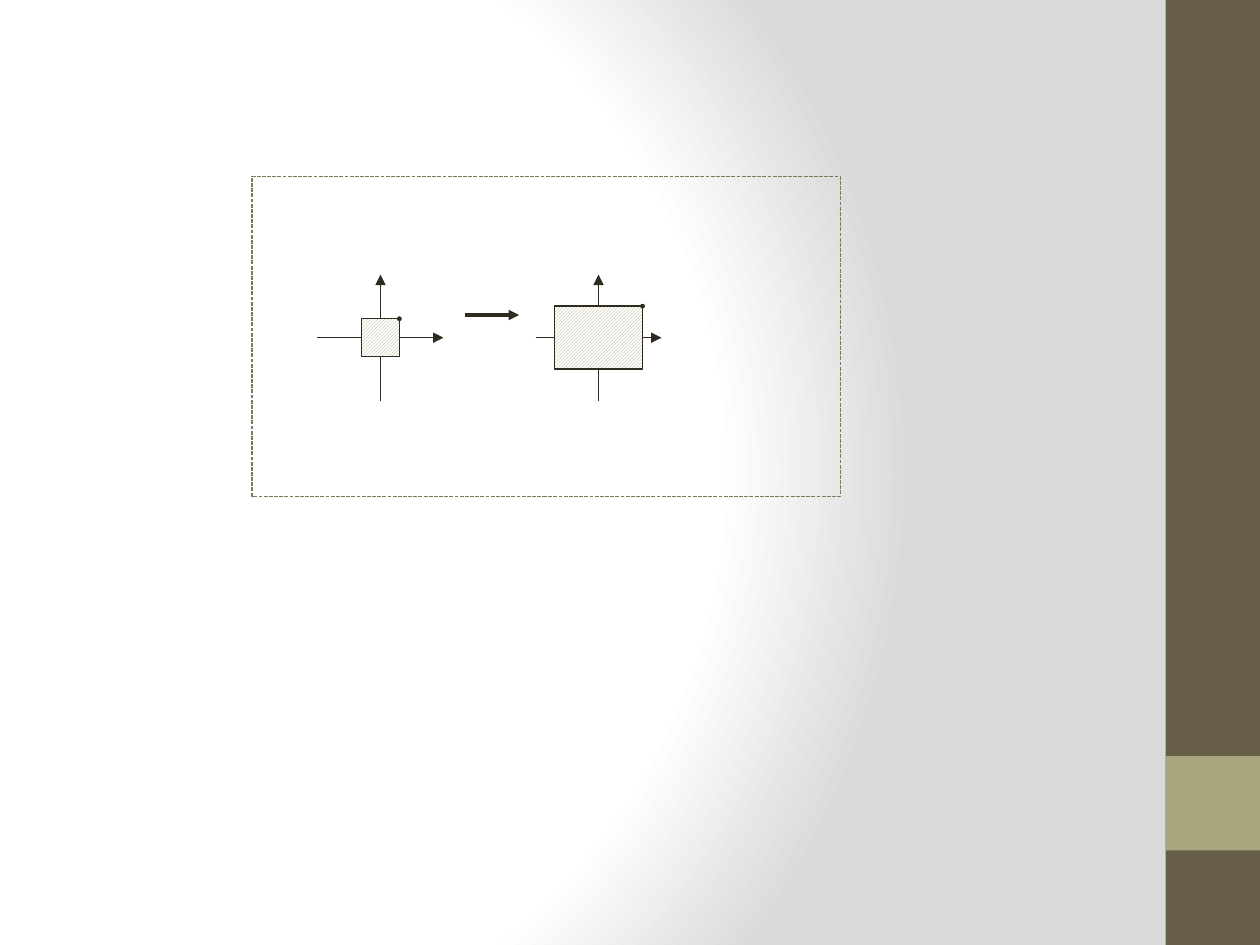
from lxml.etree import SubElement
from pptx import Presentation
from pptx.dml.color import RGBColor
from pptx.enum.dml import MSO_LINE_DASH_STYLE as Dash, MSO_PATTERN_TYPE as Pattern
from pptx.enum.shapes import MSO_CONNECTOR as Connector, MSO_SHAPE as Shape
from pptx.oxml import parse_xml
from pptx.oxml.ns import nsdecls, qn
from pptx.util import Inches, Pt

COLORS = {
    "white": "FFFFFF",
    "grey": "DADADA",
    "band": "675E47",
    "accent": "A9A57C",
    "frame": "7D7A5C",
    "ink": "2F2B20",
}


def color(name):
    return RGBColor.from_string(COLORS[name])


def add_background(page):
    """Circular gradient centred left of the middle of the page."""
    stops = "".join(
        f'<a:gs pos="{percent * 1000}"><a:srgbClr val="{COLORS[name]}"/></a:gs>'
        for percent, name in ((0, "white"), (75, "white"), (100, "grey"))
    )
    page._element.cSld.insert(0, parse_xml(
        f'<p:bg {nsdecls("p", "a")}><p:bgPr><a:gradFill rotWithShape="1">'
        f'<a:gsLst>{stops}</a:gsLst><a:path path="circle">'
        '<a:fillToRect l="20000" t="50000" r="100000" b="50000"/></a:path>'
        '</a:gradFill><a:effectLst/></p:bgPr></p:bg>'
    ))


def add_box(page, left, top, width, height, fill=None, line=None, weight=0.75, kind=Shape.RECTANGLE):
    box = page.shapes.add_shape(kind, Inches(left), Inches(top), Inches(width), Inches(height))
    box.shadow.inherit = False
    if fill:
        box.fill.solid()
        box.fill.fore_color.rgb = color(fill)
    else:
        box.fill.background()
    if line:
        box.line.color.rgb = color(line)
        box.line.width = Pt(weight)
    else:
        box.line.fill.background()
    return box


def add_arrow(page, x1, y1, x2, y2, weight=0.5):
    arrow = page.shapes.add_connector(
        Connector.STRAIGHT, Inches(x1), Inches(y1), Inches(x2), Inches(y2))
    arrow.line.color.rgb = color("ink")
    arrow.line.width = Pt(weight)
    SubElement(arrow.line._get_or_add_ln(), qn("a:tailEnd"), type="triangle")
    SubElement(arrow._element.spPr, qn("a:effectLst"))


def add_side_band(page, left, top, width, height):
    add_box(page, left, top, width, height, fill="band")
    add_box(page, left, top + 6, width, width, fill="accent")


def add_plot(page, center_x, center_y, width, height):
    """Axes, a hatched rectangle on their origin and a dot on its top right corner."""
    reach, dot = 0.5, 0.03
    add_arrow(page, center_x, center_y + reach, center_x, center_y - reach)
    add_arrow(page, center_x - reach, center_y, center_x + reach, center_y)
    left, top = center_x - width / 2, center_y - height / 2
    area = add_box(page, left, top, width, height, line="ink")
    area.fill.patterned()
    area.fill.pattern = Pattern.DARK_UPWARD_DIAGONAL
    area.fill.fore_color.rgb = color("accent")
    area.fill.back_color.rgb = color("white")
    add_box(page, left + width - dot / 2, top - dot / 2, dot, dot,
            fill="ink", line="ink", weight=0.5, kind=Shape.FLOWCHART_OR)


def add_scaling_figure(page, left, top, width, height):
    """A square plot, an arrow, and the same plot stretched, in a dashed frame."""
    frame = add_box(page, left, top, width, height, line="frame")
    frame.line.dash_style = Dash.SQUARE_DOT
    center_y = top + 1.28
    add_plot(page, left + 2.75, center_y, 0.7, 0.5)
    add_plot(page, left + 1.02, center_y, 0.3, 0.3)
    add_arrow(page, left + 1.69, top + 1.1, left + 2.12, top + 1.1, weight=1.75)


def main():
    deck = Presentation()
    deck.slide_width, deck.slide_height = Inches(10), Inches(7.5)
    page = deck.slides.add_slide(deck.slide_layouts[6])
    add_background(page)
    add_side_band(page, 9.25, 0, 0.75, 7.5)
    add_scaling_figure(page, 2, 1.4, 4.67, 2.54)
    deck.save("out.pptx")


if __name__ == "__main__":
    main()
